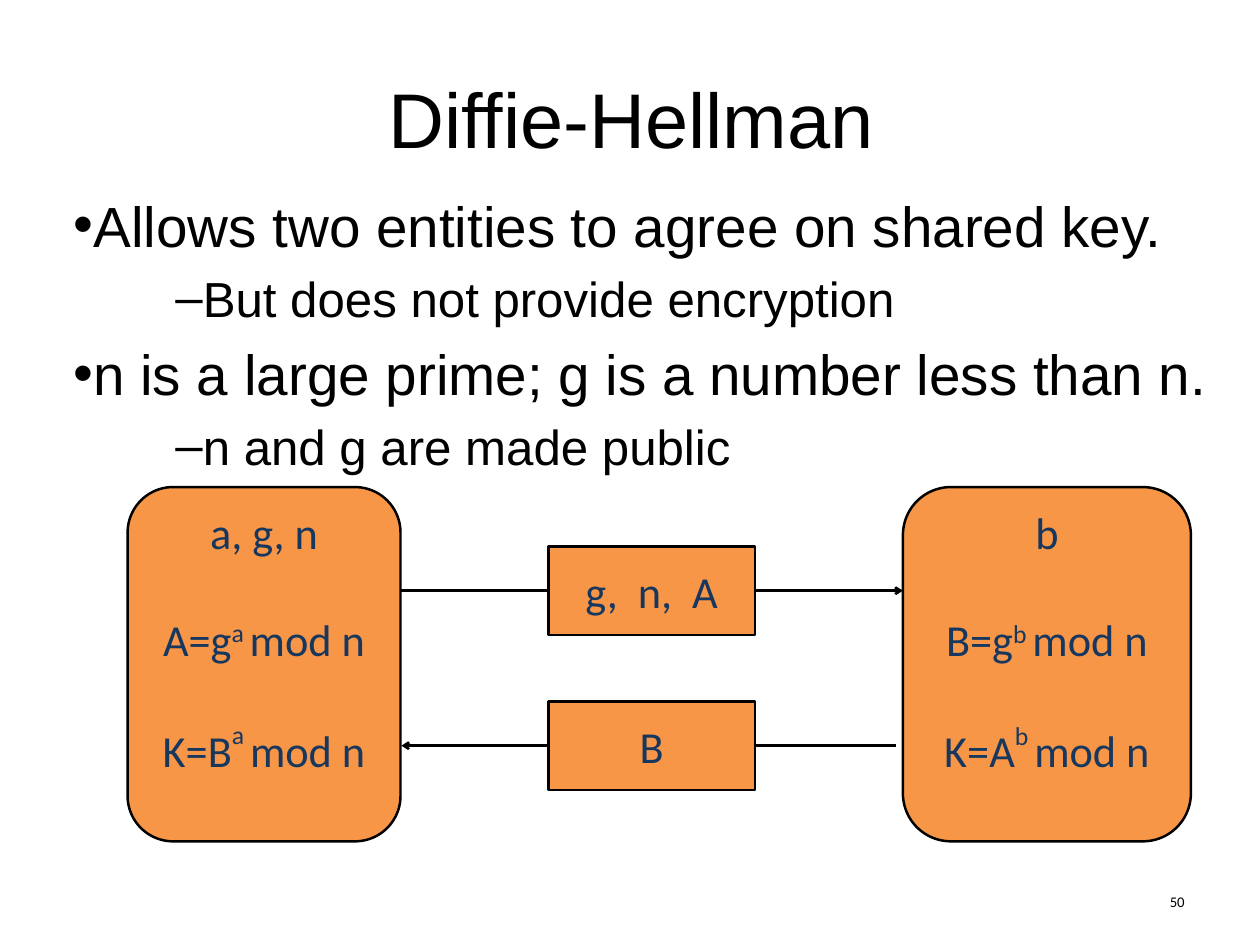
from lxml.etree import SubElement
from pptx import Presentation
from pptx.dml.color import RGBColor
from pptx.enum.shapes import MSO_CONNECTOR, MSO_SHAPE
from pptx.enum.text import MSO_ANCHOR, PP_ALIGN
from pptx.oxml.ns import qn
from pptx.util import Inches, Pt

BLACK, NAVY, ORANGE = "000000", "17375E", "F79646"


def color(value):
    return RGBColor.from_string(value)


class Deck:
    """Style and current slide."""

    def __init__(self, wide, high):
        self.file = Presentation()
        self.file.slide_width = Inches(wide)
        self.file.slide_height = Inches(high)
        self.slide = self.file.slides.add_slide(self.file.slide_layouts[5])

    def frame(self, shape, pad, anchor):
        frame = shape.text_frame
        frame.word_wrap = True
        frame.vertical_anchor = anchor
        side, edge = pad
        frame.margin_left = frame.margin_right = Inches(side)
        frame.margin_top = frame.margin_bottom = Inches(edge)
        return frame

    def add_text(self, para, text, size, font="Calibri", tint=BLACK, lift=0):
        run = para.add_run()
        run.text = text
        run.font.size = Pt(size)
        run.font.name = font
        run.font.color.rgb = color(tint)
        if lift:
            run.font._element.set("baseline", str(lift * 1000))

    def title(self, text, *place):
        shape = self.slide.shapes.title
        shape.left, shape.top, shape.width, shape.height = map(Inches, place)
        para = self.frame(shape, (0.14, 0.07), MSO_ANCHOR.MIDDLE).paragraphs[0]
        para.alignment = PP_ALIGN.CENTER
        self.add_text(para, text, 63, "Arial")

    def bullets(self, items, *place):
        box = self.slide.shapes.add_textbox(*map(Inches, place))
        frame = self.frame(box, (0.14, 0.07), MSO_ANCHOR.TOP)
        for i, (level, text) in enumerate(items):
            para = frame.add_paragraph() if i else frame.paragraphs[0]
            size, mark, left = ((46, "•", 0), (40, "–", 1.15))[level]
            para.level = level
            para.space_before = Pt(size * 0.2)
            props = para._p.get_or_add_pPr()
            props.set("marL", str(Inches(left)))
            props.set("indent", "0")
            SubElement(props, qn("a:buFont")).set("typeface", "Arial")
            SubElement(props, qn("a:buChar")).set("char", mark)
            self.add_text(para, text, size, "Arial")

    def box(self, kind, lines, place, anchor, gap=0):
        shape = self.slide.shapes.add_shape(kind, *map(Inches, place))
        shape.shadow.inherit = False
        shape.fill.solid()
        shape.fill.fore_color.rgb = color(ORANGE)
        shape.line.color.rgb = color(BLACK)
        shape.line.width = Pt(2)
        frame = self.frame(shape, (0, 0.05), anchor)
        for i, runs in enumerate(lines):
            para = frame.add_paragraph() if i else frame.paragraphs[0]
            para.alignment = PP_ALIGN.CENTER
            para.space_before = Pt(gap if i else 0)
            for text, lift in runs:
                self.add_text(para, text, 36, tint=NAVY, lift=lift)

    def arrow(self, start, end, y):
        line = self.slide.shapes.add_connector(
            MSO_CONNECTOR.STRAIGHT, *map(Inches, (start, y, end, y)))
        line.line.color.rgb = color(BLACK)
        line.line.width = Pt(2)
        props = line._element.spPr
        SubElement(props.find(qn("a:ln")), qn("a:tailEnd")).set("type", "arrow")
        SubElement(props, qn("a:effectLst"))

    def number(self, text, *place):
        box = self.slide.shapes.add_textbox(*map(Inches, place))
        para = self.frame(box, (0.14, 0.07), MSO_ANCHOR.MIDDLE).paragraphs[0]
        para.alignment = PP_ALIGN.RIGHT
        self.add_text(para, text, 12)


def main():
    deck = Deck(14.22, 10.67)

    # Title and bullets
    deck.title("Diffie-Hellman", 0.35, 0.99, 13.54, 0.68)
    deck.bullets([
        (0, "Allows two entities to agree on shared key."),
        (1, "But does not provide encryption"),
        (0, "n is a large prime; g is a number less than n."),
        (1, "n and g are made public"),
    ], 0.69, 2.08, 13.26, 2.75)

    # Messages: arrows behind their labels
    for text, top, start, end in (("g,  n,  A", 6.17, 4.53, 10.19),
                                  ("B", 7.92, 10.11, 4.53)):
        deck.arrow(start, end, top + 0.5)
        deck.box(MSO_SHAPE.RECTANGLE, [[(text, 0)]],
                 (6.19, top, 2.33, 1), MSO_ANCHOR.MIDDLE)

    # The two parties
    for known, own, other, power, left, width in (
            ("a, g, n", "A", "B", "a ", 1.44, 3.08),
            ("b", "B", "A", "b ", 10.19, 3.25)):
        lines = [
            [(known, 0)],
            [(f"{own}=g", 0), (power, 30), ("mod n", 0)],
            [(f"K={other}", 0), (power, 50), ("mod n", 0)],
        ]
        deck.box(MSO_SHAPE.ROUNDED_RECTANGLE, lines,
                 (left, 5.5, width, 4), MSO_ANCHOR.TOP, gap=44)

    # Slide number
    deck.number("50", 10.19, 9.89, 3.32, 0.57)
    deck.file.save("out.pptx")


if __name__ == "__main__":
    main()
